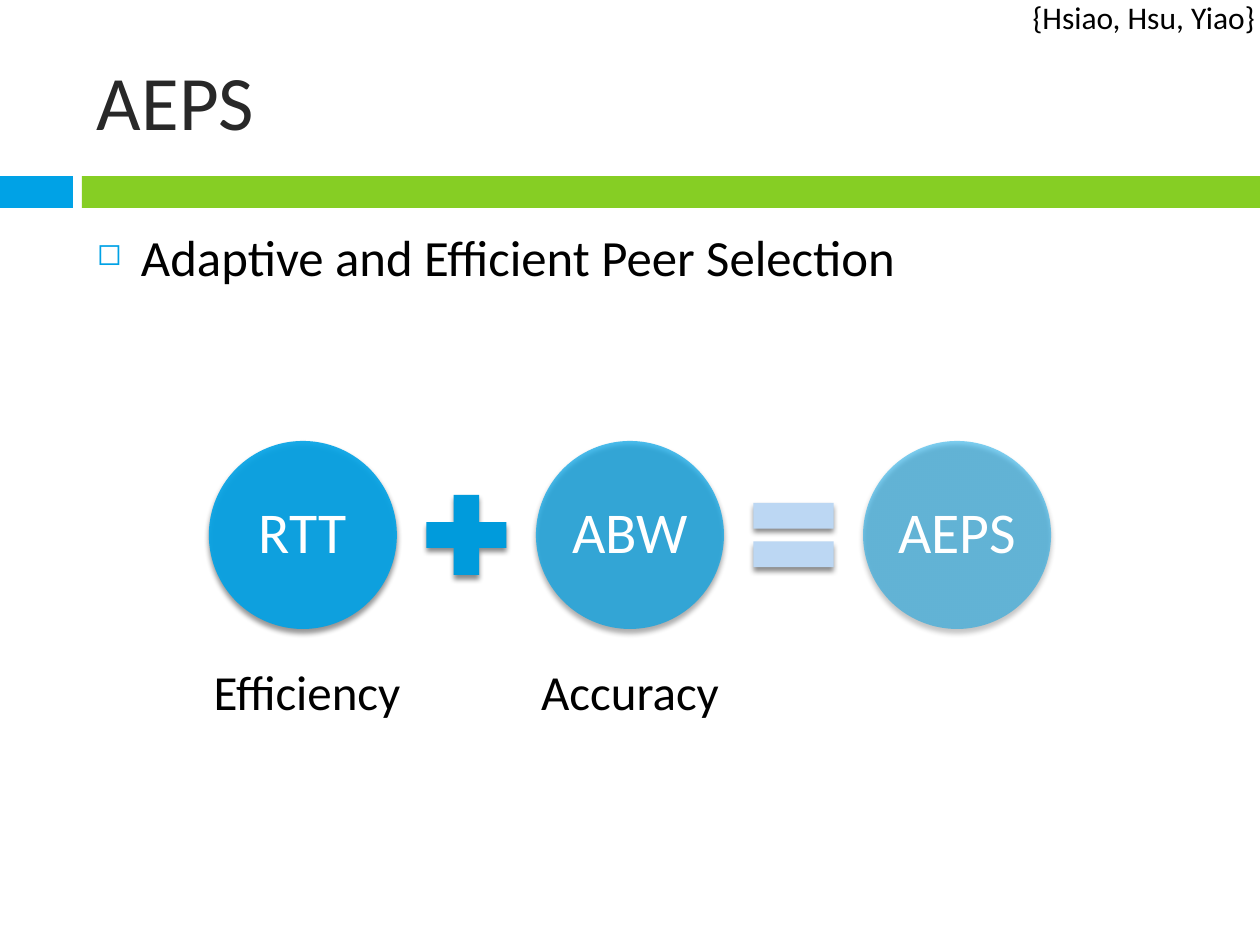
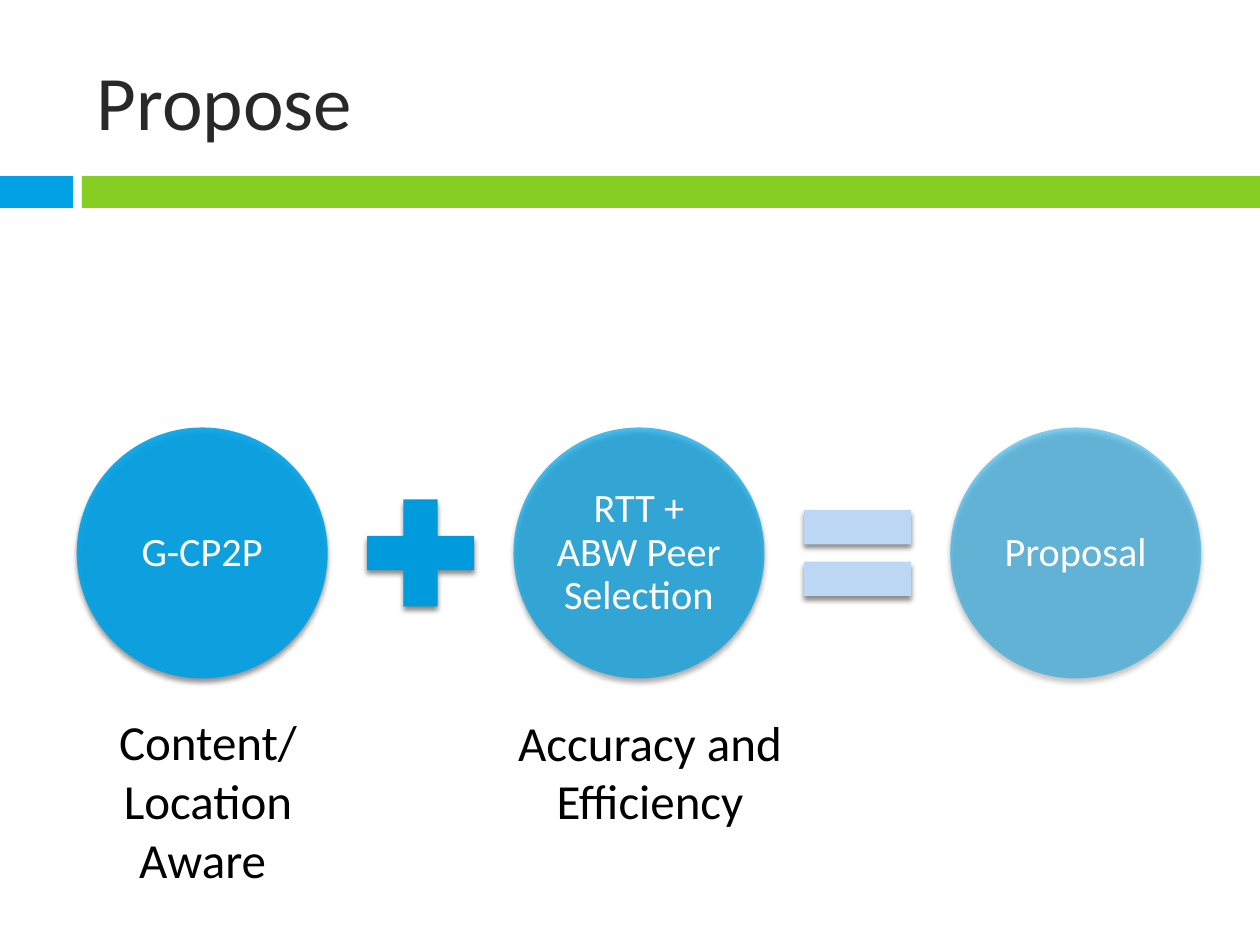
from lxml import etree
from pptx import Presentation
from pptx.dml.color import RGBColor
from pptx.enum.shapes import MSO_SHAPE
from pptx.enum.text import MSO_ANCHOR, PP_ALIGN
from pptx.oxml.ns import qn
from pptx.util import Pt

RECT, OVAL = MSO_SHAPE.RECTANGLE, MSO_SHAPE.OVAL
PLUS, EQUAL = MSO_SHAPE.MATH_PLUS, MSO_SHAPE.MATH_EQUAL
LEFT, CENTER, RIGHT = PP_ALIGN.LEFT, PP_ALIGN.CENTER, PP_ALIGN.RIGHT
TOP, MIDDLE = MSO_ANCHOR.TOP, MSO_ANCHOR.MIDDLE

# Shared style
EMU_PER_PX = 914400 / 126
SLIDE_W, SLIDE_H = 1260, 945
FONT = "Calibri"
BLUE, GREEN, PLUS_BLUE, EQUAL_BLUE = "00A2E6", "86CE24", "009BDC", "BCD7F3"
TITLE_GREY, BLACK, WHITE = "282828", "000000", "FFFFFF"
CIRCLE_OPACITIES = (90, 70, 50)
SIGNS = ((PLUS, PLUS_BLUE), (EQUAL, EQUAL_BLUE))

# Equation proportions, relative to the circle diameter
PITCH, SIGN_SIZE, LABEL_SIZE = 1.74, 0.58, 0.71


def px(length):
    return round(length * EMU_PER_PX)


def color(hex_string):
    return RGBColor.from_string(hex_string)


def sub(parent, tag, **attributes):
    return etree.SubElement(parent, qn(tag), attributes)


def add_filled(shapes, kind, x, y, w, h, fill):
    shape = shapes.add_shape(kind, px(x), px(y), px(w), px(h))
    shape.shadow.inherit = False
    shape.fill.solid()
    shape.fill.fore_color.rgb = color(fill)
    shape.line.fill.background()
    return shape


def add_shadow(shape):
    effects = shape._element.spPr.find(qn("a:effectLst"))
    shadow = sub(effects, "a:outerShdw", blurRad="38100", dist="30000",
                 dir="5400000", rotWithShape="0")
    sub(sub(shadow, "a:srgbClr", val=BLACK), "a:alpha", val="45000")


def set_opacity(shape, percent):
    fill_color = shape._element.spPr.find(qn("a:solidFill"))[0]
    sub(fill_color, "a:alpha", val=str(percent * 1000))


def add_text(shapes, text, x, y, w, h, size, text_color=BLACK, align=LEFT,
             anchor=TOP, insets=(13, 6), wrap=True, line_spacing=None):
    box = shapes.add_textbox(px(x), px(y), px(w), px(h))
    frame = box.text_frame
    frame.text = text
    frame.word_wrap = wrap
    frame.vertical_anchor = anchor
    frame.margin_left = frame.margin_right = px(insets[0])
    frame.margin_top = frame.margin_bottom = px(insets[1])
    for paragraph in frame.paragraphs:
        paragraph.alignment = align
        paragraph.line_spacing = line_spacing
        for run in paragraph.runs:
            run.font.name = FONT
            run.font.size = Pt(size)
            run.font.color.rgb = color(text_color)
    return box


def add_bullet(paragraph, indent):
    paragraph.space_before = Pt(7)
    properties = paragraph._p.get_or_add_pPr()
    properties.set("marL", str(px(indent)))
    properties.set("indent", str(-px(indent)))
    sub(sub(properties, "a:buClr"), "a:srgbClr", val=BLUE)
    sub(properties, "a:buSzPct", val="60000")
    sub(properties, "a:buChar", char="◻")


def add_titled_slide(deck, title):
    slide = deck.slides.add_slide(deck.slide_layouts[6])
    add_filled(slide.shapes, RECT, 0, 176, 73, 32, BLUE)
    add_filled(slide.shapes, RECT, 82, 176, SLIDE_W - 82, 32, GREEN)
    add_text(slide.shapes, title, 84, 32, 1124, 136, 44, TITLE_GREY,
             anchor=MIDDLE)
    return slide


def add_equation(slide, terms, center_x, center_y, diameter, size, inset):
    """Three circles in a row, joined by a plus and an equals sign."""
    shapes = slide.shapes.add_group_shape().shapes
    pitch = PITCH * diameter

    def square(middle_x, side):
        return middle_x - side / 2, center_y - side / 2, side, side

    for i, (term, opacity) in enumerate(zip(terms, CIRCLE_OPACITIES)):
        term_x = center_x + (i - 1) * pitch
        circle = add_filled(shapes, OVAL, *square(term_x, diameter), BLUE)
        set_opacity(circle, opacity)
        add_shadow(circle)
        add_text(shapes, term, *square(term_x, LABEL_SIZE * diameter), size,
                 WHITE, CENTER, MIDDLE, (inset, inset), line_spacing=0.9)
        if i < len(SIGNS):
            kind, fill = SIGNS[i]
            sign_box = square(term_x + pitch / 2, SIGN_SIZE * diameter)
            add_shadow(add_filled(shapes, kind, *sign_box, fill))


def add_caption(slide, text, x, y, w, h):
    add_text(slide.shapes, text, x, y, w, h, 28, align=CENTER)


def build_aeps(deck):
    slide = add_titled_slide(deck, "AEPS")
    definition = add_text(slide.shapes, "Adaptive and Efficient Peer Selection",
                          84, 220, 1124, 620, 29)
    add_bullet(definition.text_frame.paragraphs[0], 44)
    add_equation(slide, ("RTT", "ABW", "AEPS"), 630, 535, 188, 33, 6)
    add_caption(slide, "Efficiency", 197, 655, 220, 72)
    add_caption(slide, "Accuracy", 520, 655, 220, 72)
    add_text(slide.shapes, "{Hsiao, Hsu, Yiao}", 1010, 0, 250, 34, 18,
             align=RIGHT, anchor=MIDDLE, insets=(5, 0), wrap=False)


def build_proposal(deck):
    slide = add_titled_slide(deck, "Propose")
    add_equation(slide, ("G-CP2P", "RTT + ABW Peer Selection", "Proposal"),
                 639, 553, 251, 23, 4)
    add_caption(slide, "Content/Location\nAware ", 104, 706, 208, 190)
    add_caption(slide, "Accuracy and\nEfficiency", 500, 706, 300, 131)


def main():
    deck = Presentation()
    deck.slide_width, deck.slide_height = px(SLIDE_W), px(SLIDE_H)
    build_aeps(deck)
    build_proposal(deck)
    deck.save("out.pptx")


if __name__ == "__main__":
    main()
